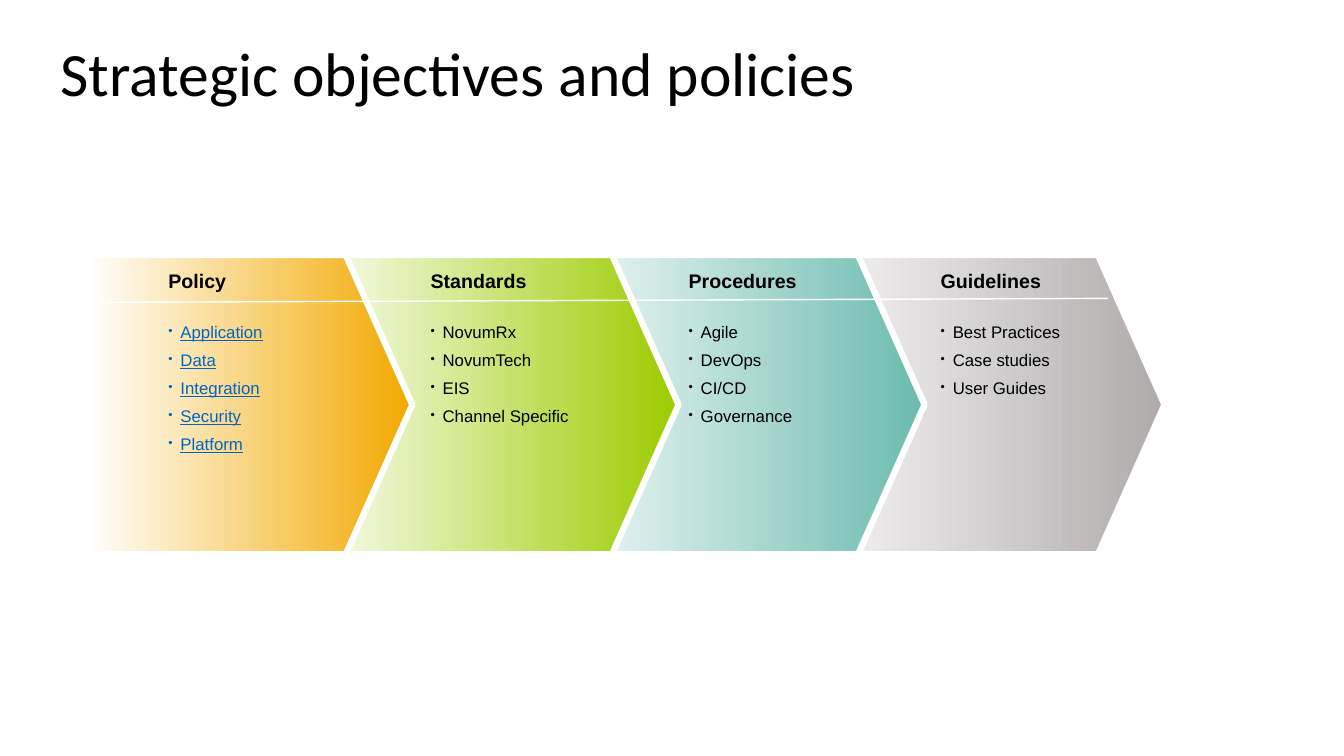
from dataclasses import dataclass

from lxml.etree import SubElement
from pptx import Presentation
from pptx.dml.color import RGBColor
from pptx.enum.shapes import MSO_CONNECTOR, MSO_SHAPE
from pptx.enum.text import MSO_ANCHOR, MSO_AUTO_SIZE, PP_ALIGN
from pptx.oxml.ns import qn
from pptx.util import Inches, Pt


@dataclass(frozen=True)
class Theme:
    title_font: str = "Calibri"
    body_font: str = "Arial"
    title_size: int = 44
    heading_size: int = 14
    list_size: int = 12
    text: str = "000000"
    link: str = "0563C1"
    white: str = "FFFFFF"
    gold: str = "F2A900"
    green: str = "9BCC00"
    teal: str = "6BBBAE"
    grey: str = "AFABAB"


@dataclass(frozen=True)
class Stage:
    heading: str
    items: tuple
    color: str
    arrow_left: float
    arrow_width: float
    text_left: float
    item_color: str = Theme.text
    underline: bool = False


ARROW_TOP, ARROW_HEIGHT, ARROW_TIP = 2.53, 2.97, 0.66
HEADING_TOP, LIST_TOP = 2.67, 3.2

STAGES = (
    Stage("Policy", ("Application", "Data", "Integration", "Security", "Platform"),
          Theme.gold, 0.86, 3.23, 1.67, Theme.link, True),
    Stage("Standards", ("NovumRx", "NovumTech", "EIS", "Channel Specific"),
          Theme.green, 2.92, 3.81, 4.27),
    Stage("Procedures", ("Agile", "DevOps", "CI/CD", "Governance"),
          Theme.teal, 5.25, 3.92, 6.83),
    Stage("Guidelines", ("Best Practices", "Case studies", "User Guides"),
          Theme.grey, 7.63, 3.92, 9.33),
)


class SlideBuilder:
    def __init__(self, page, theme):
        self.page = page
        self.theme = theme

    def style(self, paragraph, font, size, color, bold=False, underline=False):
        for span in paragraph.runs:
            span.font.name = font
            span.font.size = Pt(size)
            span.font.color.rgb = RGBColor.from_string(color)
            span.font.bold = bold
            span.font.underline = underline

    def title(self, text, left, top, width, height):
        box = self.page.shapes.title
        box.left, box.top = Inches(left), Inches(top)
        box.width, box.height = Inches(width), Inches(height)
        frame = box.text_frame
        frame.text = text
        frame.auto_size = MSO_AUTO_SIZE.NONE
        frame.vertical_anchor = MSO_ANCHOR.TOP
        para = frame.paragraphs[0]
        para.alignment = PP_ALIGN.LEFT
        para.line_spacing = 0.9
        self.style(para, self.theme.title_font, self.theme.title_size, self.theme.text)

    def arrow(self, left, width, color):
        """Add a pentagon arrow that fades in from white."""
        shape = self.page.shapes.add_shape(
            MSO_SHAPE.PENTAGON, Inches(left), Inches(ARROW_TOP),
            Inches(width), Inches(ARROW_HEIGHT))
        shape.shadow.inherit = False
        shape.adjustments[0] = ARROW_TIP / ARROW_HEIGHT
        shape.fill.gradient()
        shape.fill.gradient_angle = 0
        stops = zip(shape.fill.gradient_stops, (0, 1), (self.theme.white, color))
        for stop, position, stop_color in stops:
            stop.position = position
            stop.color.rgb = RGBColor.from_string(stop_color)
        shape.line.color.rgb = RGBColor.from_string(self.theme.white)
        shape.line.width = Pt(4.5)

    def text_box(self, text, left, top, width, height):
        box = self.page.shapes.add_textbox(
            Inches(left), Inches(top), Inches(width), Inches(height))
        frame = box.text_frame
        frame.word_wrap = True
        frame.margin_left = frame.margin_right = 0
        frame.margin_top = frame.margin_bottom = 0
        frame.text = text
        return frame

    def heading(self, text, left):
        frame = self.text_box(text, left, HEADING_TOP, 2.19, 0.37)
        self.style(frame.paragraphs[0], self.theme.body_font,
                   self.theme.heading_size, self.theme.text, bold=True)

    def bullet_list(self, items, left, color, underline):
        frame = self.text_box("\n".join(items), left, LIST_TOP, 2.31, 1.13)
        for index, para in enumerate(frame.paragraphs):
            properties = para._p.get_or_add_pPr()
            properties.set("marL", str(Inches(0.12)))
            properties.set("indent", str(-Inches(0.12)))
            SubElement(properties, qn("a:buSzPct"), val="75000")
            SubElement(properties, qn("a:buChar"), char="•")
            para.line_spacing = Pt(14)
            if index:
                para.space_before = Pt(6)
            self.style(para, self.theme.body_font, self.theme.list_size,
                       color, underline=underline)

    def rule(self, start, end):
        line = self.page.shapes.add_connector(
            MSO_CONNECTOR.STRAIGHT, *map(Inches, start + end))
        line.line.color.rgb = RGBColor.from_string(self.theme.white)
        line.line.width = Pt(1)
        SubElement(line._element.spPr, qn("a:effectLst"))


def main():
    deck = Presentation()
    deck.slide_width, deck.slide_height = Inches(13.33), Inches(7.5)
    title_only = deck.slide_layouts[5]
    builder = SlideBuilder(deck.slides.add_slide(title_only), Theme())

    builder.title("Strategic objectives and policies", 0.5, 0.38, 9, 0.48)
    # Each arrow overlaps the one to its right.
    for stage in reversed(STAGES):
        builder.arrow(stage.arrow_left, stage.arrow_width, stage.color)
    builder.rule((10.99, 2.96), (0.92, 3))
    for stage in STAGES:
        builder.heading(stage.heading, stage.text_left)
        builder.bullet_list(stage.items, stage.text_left,
                            stage.item_color, stage.underline)
    deck.save("out.pptx")


if __name__ == "__main__":
    main()
